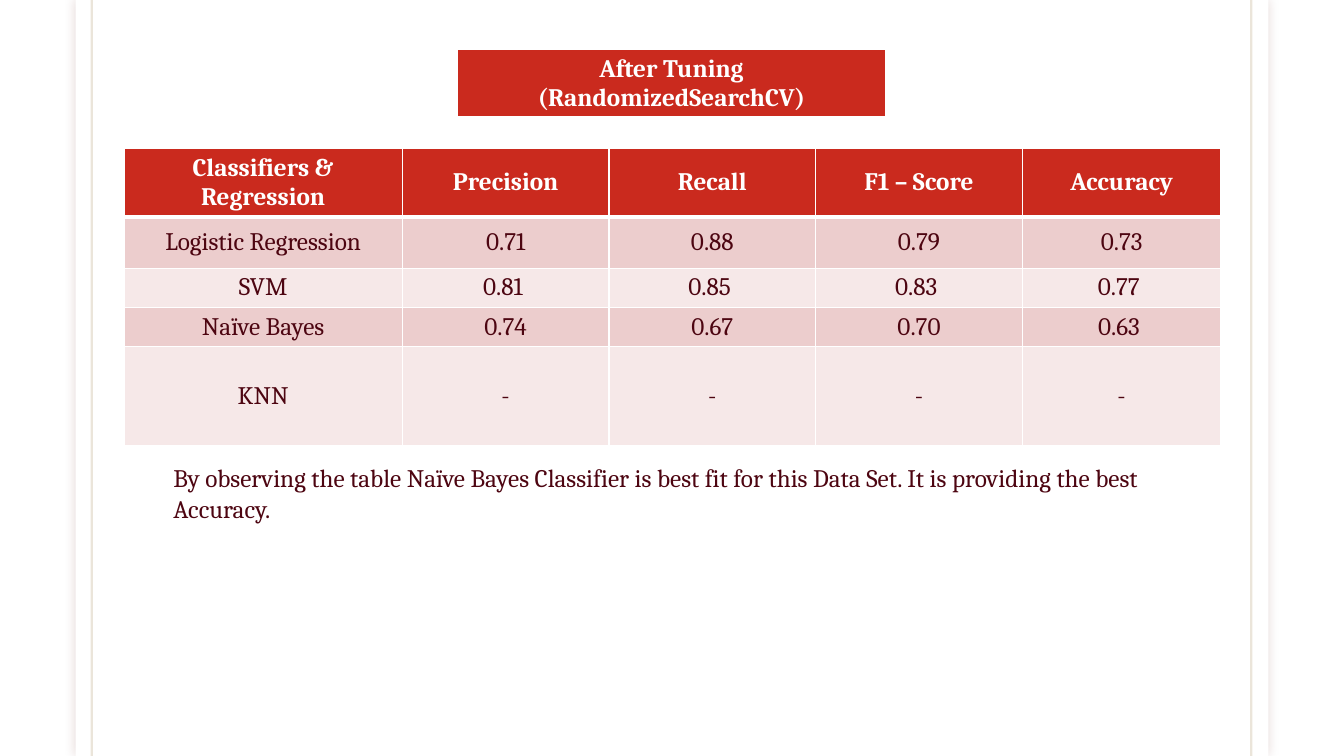
from dataclasses import dataclass

from lxml import etree
from pptx import Presentation
from pptx.dml.color import RGBColor
from pptx.enum.shapes import MSO_CONNECTOR, MSO_SHAPE
from pptx.enum.text import MSO_ANCHOR, MSO_AUTO_SIZE, PP_ALIGN
from pptx.oxml.ns import qn
from pptx.slide import Slide
from pptx.table import _Cell
from pptx.text.text import _Paragraph
from pptx.util import Emu, Pt

PX = 9144  # EMU per px, at 100 px to the inch
SLIDE_WIDTH, SLIDE_HEIGHT = 1333, 750
BLANK_LAYOUT = 6

FONT = "Cambria"
FONT_SIZE = Pt(18)
WHITE = RGBColor(0xFF, 0xFF, 0xFF)
RED = RGBColor(0xCA, 0x2A, 0x1E)
MAROON = RGBColor(0x4D, 0x05, 0x11)
ROSE = RGBColor(0xEC, 0xCD, 0xCD)
PALE_ROSE = RGBColor(0xF6, 0xE8, 0xE8)
OLIVE = RGBColor(0x79, 0x54, 0x0B)
SHADOW_BROWN = RGBColor(0x65, 0x15, 0x0F)

CENTER = PP_ALIGN.CENTER
MIDDLE = MSO_ANCHOR.MIDDLE
RECTANGLE = MSO_SHAPE.RECTANGLE
STRAIGHT = MSO_CONNECTOR.STRAIGHT
FIT_SHAPE = MSO_AUTO_SIZE.SHAPE_TO_FIT_TEXT

THIN, THICK = Pt(1), Pt(3)
OPACITY = "15000"
RULE_XS = (91, 1241)


@dataclass(frozen=True)
class TableBlock:
    left: int
    top: int
    height: int
    column_widths: tuple[int, ...]
    row_heights: tuple[int, ...]
    rows: tuple[tuple[str, ...], ...]


HEADING = TableBlock(454, 49, 70, (424,), (41,), (("After Tuning (RandomizedSearchCV)",),))
SCORES = TableBlock(
    123, 147, 299, (276, 205, 205, 205, 197), (68, 51, 39, 39, 98),
    (
        ("Classifiers & Regression", "Precision", "Recall", "F1 – Score", "Accuracy"),
        ("Logistic Regression", "0.71", "0.88", "0.79", "0.73"),
        ("SVM", "0.81 ", "0.85 ", "0.83 ", "0.77 "),
        ("Naïve Bayes", "0.74", "0.67", "0.70", "0.63 "),
        ("KNN", "-", "-", "-", "-"),
    ),
)
CONCLUSION = (
    "By observing the table Naïve Bayes Classifier is best fit for this Data Set. "
    "It is providing the best Accuracy."
)


def px(length: int) -> Emu:
    return Emu(length * PX)


def format_paragraph(paragraph: _Paragraph, color: RGBColor, bold: bool = False) -> None:
    font = paragraph.font
    font.name, font.size, font.bold = FONT, FONT_SIZE, bold
    font.color.rgb = color


def add_color(parent: etree._Element, color: RGBColor, opacity: str | None = None) -> None:
    element = etree.SubElement(parent, qn("a:srgbClr"), val=str(color))
    if opacity:
        etree.SubElement(element, qn("a:alpha"), val=opacity)


def add_page(slide: Slide) -> None:
    """Draw the white sheet with its soft shadow."""
    page = slide.shapes.add_shape(RECTANGLE, px(75), 0, px(1183), px(SLIDE_HEIGHT))
    page.fill.solid()
    page.fill.fore_color.rgb = WHITE
    page.line.fill.background()
    page.shadow.inherit = False
    effects = page.element.spPr.find(qn("a:effectLst"))
    shadow = etree.SubElement(effects, qn("a:outerShdw"), blurRad=str(Pt(7)), dist="0", dir="0")
    add_color(shadow, SHADOW_BROWN, OPACITY)


def add_rule(slide: Slide, x: int) -> None:
    rule = slide.shapes.add_connector(STRAIGHT, px(x), 0, px(x), px(SLIDE_HEIGHT))
    rule.line.width = Pt(1.5)
    rule.line.color.rgb = OLIVE
    properties = rule.element.spPr
    color = properties.find(".//" + qn("a:srgbClr"))
    etree.SubElement(color, qn("a:alpha"), val=OPACITY)
    etree.SubElement(properties, qn("a:effectLst"))


def set_borders(cell: _Cell, top: int, bottom: int) -> None:
    properties = cell._tc.get_or_add_tcPr()
    widths = {"a:lnL": THIN, "a:lnR": THIN, "a:lnT": top, "a:lnB": bottom}
    for position, (tag, width) in enumerate(widths.items()):
        border = etree.Element(qn(tag), w=str(width))
        add_color(etree.SubElement(border, qn("a:solidFill")), WHITE)
        properties.insert(position, border)


def add_table(slide: Slide, block: TableBlock) -> None:
    """Add a table with a red first row and rose bands below it."""
    frame = slide.shapes.add_table(
        len(block.rows), len(block.column_widths), px(block.left), px(block.top),
        px(sum(block.column_widths)), px(block.height),
    )
    table = frame.table
    for column, width in zip(table.columns, block.column_widths):
        column.width = px(width)
    for row_index, (row, height) in enumerate(zip(table.rows, block.row_heights)):
        row.height = px(height)
        is_header = row_index == 0
        band = ROSE if row_index % 2 else PALE_ROSE
        for cell, text in zip(row.cells, block.rows[row_index]):
            cell.text = text
            cell.vertical_anchor = MIDDLE
            cell.fill.solid()
            cell.fill.fore_color.rgb = RED if is_header else band
            paragraph = cell.text_frame.paragraphs[0]
            paragraph.alignment = CENTER
            format_paragraph(paragraph, WHITE if is_header else MAROON, is_header)
            set_borders(
                cell,
                top=THICK if row_index == 1 else THIN,
                bottom=THICK if is_header else THIN,
            )
    frame.height = px(block.height)


def add_conclusion(slide: Slide) -> None:
    box = slide.shapes.add_textbox(px(162), px(454), px(1055), px(71))
    text_frame = box.text_frame
    text_frame.word_wrap = True
    text_frame.auto_size = FIT_SHAPE
    text_frame.text = CONCLUSION
    format_paragraph(text_frame.paragraphs[0], MAROON)


def main() -> None:
    presentation = Presentation()
    presentation.slide_width = px(SLIDE_WIDTH)
    presentation.slide_height = px(SLIDE_HEIGHT)
    slide = presentation.slides.add_slide(presentation.slide_layouts[BLANK_LAYOUT])
    add_page(slide)
    for x in RULE_XS:
        add_rule(slide, x)
    for block in (SCORES, HEADING):
        add_table(slide, block)
    add_conclusion(slide)
    presentation.save("out.pptx")


if __name__ == "__main__":
    main()
